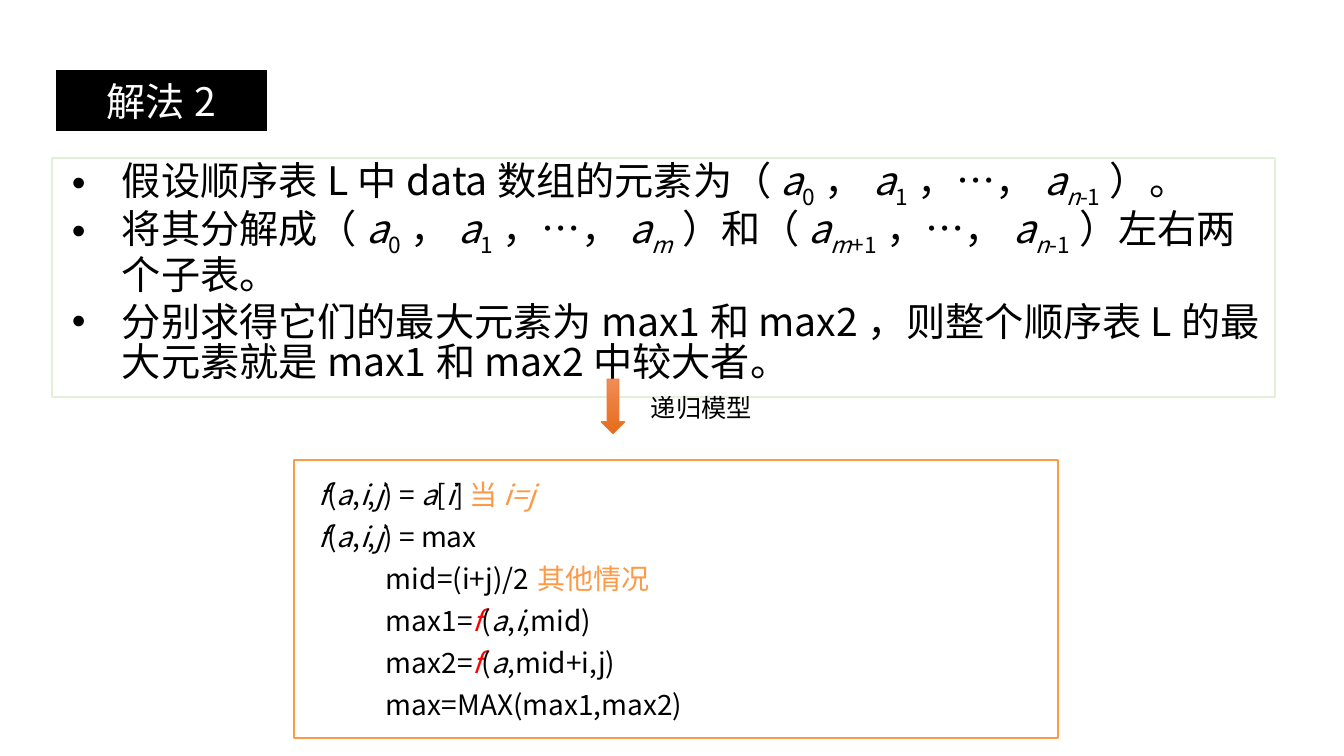
from dataclasses import dataclass

from lxml import etree
from pptx import Presentation
from pptx import util as u
from pptx.dml.color import RGBColor
from pptx.enum import shapes, text
from pptx.oxml.ns import qn


@dataclass(frozen=True)
class Theme:
    font: str = "Noto Sans CJK SC"
    heading: int = 28
    code: int = 20
    label: int = 18
    black: str = "000000"
    white: str = "FFFFFF"
    accent: str = "FC9A48"
    recursion: str = "FF0000"
    pale_green: str = "E2F0D9"
    arrow_line: str = "ED7D31"
    arrow_top: str = "F18C57"
    arrow_bottom: str = "E56C19"


THEME = Theme()
SCALE = 9071
MARKS = "*~^!"

STEPS = [
    "假设顺序表L中data数组的元素为（*a*~0~，*a*~1~，…，*a*~*n*-1~）。",
    "将其分解成（*a*~0~，*a*~1~，…，*a*~*m*~）和（*a*~*m*+1~，…，*a*~*n*-1~）左右两个子表。",
    "分别求得它们的最大元素为max1和max2，则整个顺序表L的最大元素就是max1和max2中较大者。",
]
MODEL = [
    (0, "*f*(*a*,*i*,*j*) = *a*[*i*]\t^当*i=j*^"),
    (0, "*f*(*a*,*i*,*j*) = max"),
    (68, "mid=(i+j)/2\t^其他情况^"),
    (68, "max1=!*f*!(*a*,*i*,mid)"),
    (68, "max2=!*f*!(*a*,mid+i,j)"),
    (68, "max=MAX(max1,max2)"),
]


def px(length):
    return u.Emu(length * SCALE)


def color(value):
    return RGBColor.from_string(value)


def paint(shape, fill, line, width):
    shape.shadow.inherit = False
    shape.fill.solid()
    shape.fill.fore_color.rgb = color(fill)
    shape.line.color.rgb = color(line)
    shape.line.width = u.Pt(width)


def prepare_frame(shape, insets, anchor=text.MSO_ANCHOR.MIDDLE):
    frame = shape.text_frame
    frame.word_wrap = True
    frame.auto_size = text.MSO_AUTO_SIZE.NONE
    frame.vertical_anchor = anchor
    frame.margin_left, frame.margin_top, frame.margin_right, frame.margin_bottom = map(px, insets)
    return frame


def set_font(paragraph, size, ink):
    paragraph.font.size = u.Pt(size)
    paragraph.font.name = THEME.font
    paragraph.font.color.rgb = color(ink)
    properties = paragraph._p.pPr.find(qn("a:defRPr"))
    latin = properties.find(qn("a:latin"))
    east_asian = etree.Element(qn("a:ea"), typeface=THEME.font)
    latin.addnext(east_asian)


def add_run(paragraph, words, active):
    run = paragraph.add_run()
    run.text = words
    if "*" in active:
        run.font.italic = True
    if "~" in active:
        run.font._element.set("baseline", "-25000")
    if "^" in active:
        run.font.color.rgb = color(THEME.accent)
    if "!" in active:
        run.font.color.rgb = color(THEME.recursion)


def write_marked(paragraph, marked):
    active, words = set(), ""
    for letter in marked:
        if letter not in MARKS:
            words += letter
            continue
        if words:
            add_run(paragraph, words, active)
        words = ""
        active ^= {letter}
    if words:
        add_run(paragraph, words, active)


def next_paragraph(frame, index):
    if index == 0:
        return frame.paragraphs[0]
    paragraph = frame.add_paragraph()
    paragraph.space_before = u.Pt(6)
    return paragraph


def add_box(slide, box, kind=shapes.MSO_SHAPE.RECTANGLE):
    return slide.shapes.add_shape(kind, *map(px, box))


def place_title(slide, box):
    title = slide.shapes.title
    title.left, title.top, title.width, title.height = map(px, box)
    paint(title, THEME.black, THEME.white, 1.5)
    frame = prepare_frame(title, (10, 8, 10, 8))
    paragraph = frame.paragraphs[0]
    paragraph.alignment = text.PP_ALIGN.CENTER
    set_font(paragraph, THEME.heading, THEME.white)
    write_marked(paragraph, "解法2")


def add_steps(slide, box):
    shape = add_box(slide, box)
    paint(shape, THEME.white, THEME.pale_green, 1)
    frame = prepare_frame(shape, (20, 12, 10, 12))
    for index, step in enumerate(STEPS):
        paragraph = next_paragraph(frame, index)
        paragraph.alignment = text.PP_ALIGN.LEFT
        paragraph.line_spacing = u.Pt(28)
        properties = paragraph._p.get_or_add_pPr()
        properties.set("marL", str(px(50)))
        properties.set("indent", str(px(-50)))
        etree.SubElement(properties, qn("a:buFont"), typeface="Arial")
        etree.SubElement(properties, qn("a:buChar"), char="•")
        set_font(paragraph, THEME.heading, THEME.black)
        write_marked(paragraph, step)


def add_transition(slide, box):
    left, top, width, height = box
    arrow = add_box(slide, (left, top, 24, height), shapes.MSO_SHAPE.DOWN_ARROW)
    paint(arrow, THEME.arrow_top, THEME.arrow_line, 0.5)
    arrow.fill.gradient()
    arrow.fill.gradient_angle = 270
    for stop, shade in zip(arrow.fill.gradient_stops, (THEME.arrow_top, THEME.arrow_bottom)):
        stop.color.rgb = color(shade)
    label = slide.shapes.add_textbox(*map(px, (left + 40, top + 8, width - 40, 40)))
    frame = prepare_frame(label, (10, 5, 10, 5))
    paragraph = frame.paragraphs[0]
    set_font(paragraph, THEME.label, THEME.black)
    write_marked(paragraph, "递归模型")


def add_model(slide, box):
    shape = add_box(slide, box)
    paint(shape, THEME.white, THEME.accent, 1.5)
    frame = prepare_frame(shape, (24, 16, 10, 16))
    for index, (indent, line) in enumerate(MODEL):
        paragraph = next_paragraph(frame, index)
        paragraph.alignment = text.PP_ALIGN.LEFT
        properties = paragraph._p.get_or_add_pPr()
        properties.set("marL", str(px(indent)))
        properties.set("indent", "0")
        if "\t" in line:
            tabs = etree.SubElement(properties, qn("a:tabLst"))
            position = 303 if indent else 252
            etree.SubElement(tabs, qn("a:tab"), pos=str(px(position)), algn="l")
        set_font(paragraph, THEME.code, THEME.black)
        write_marked(paragraph, line)


def build_slide(presentation):
    slide = presentation.slides.add_slide(presentation.slide_layouts[5])
    add_steps(slide, (52, 158, 1223, 239))
    add_model(slide, (294, 460, 764, 278))
    place_title(slide, (55, 69, 213, 63))
    add_transition(slide, (601, 379, 182, 55))


def main():
    presentation = Presentation()
    presentation.slide_width = px(1344)
    presentation.slide_height = px(756)
    build_slide(presentation)
    presentation.save("out.pptx")


if __name__ == "__main__":
    main()
